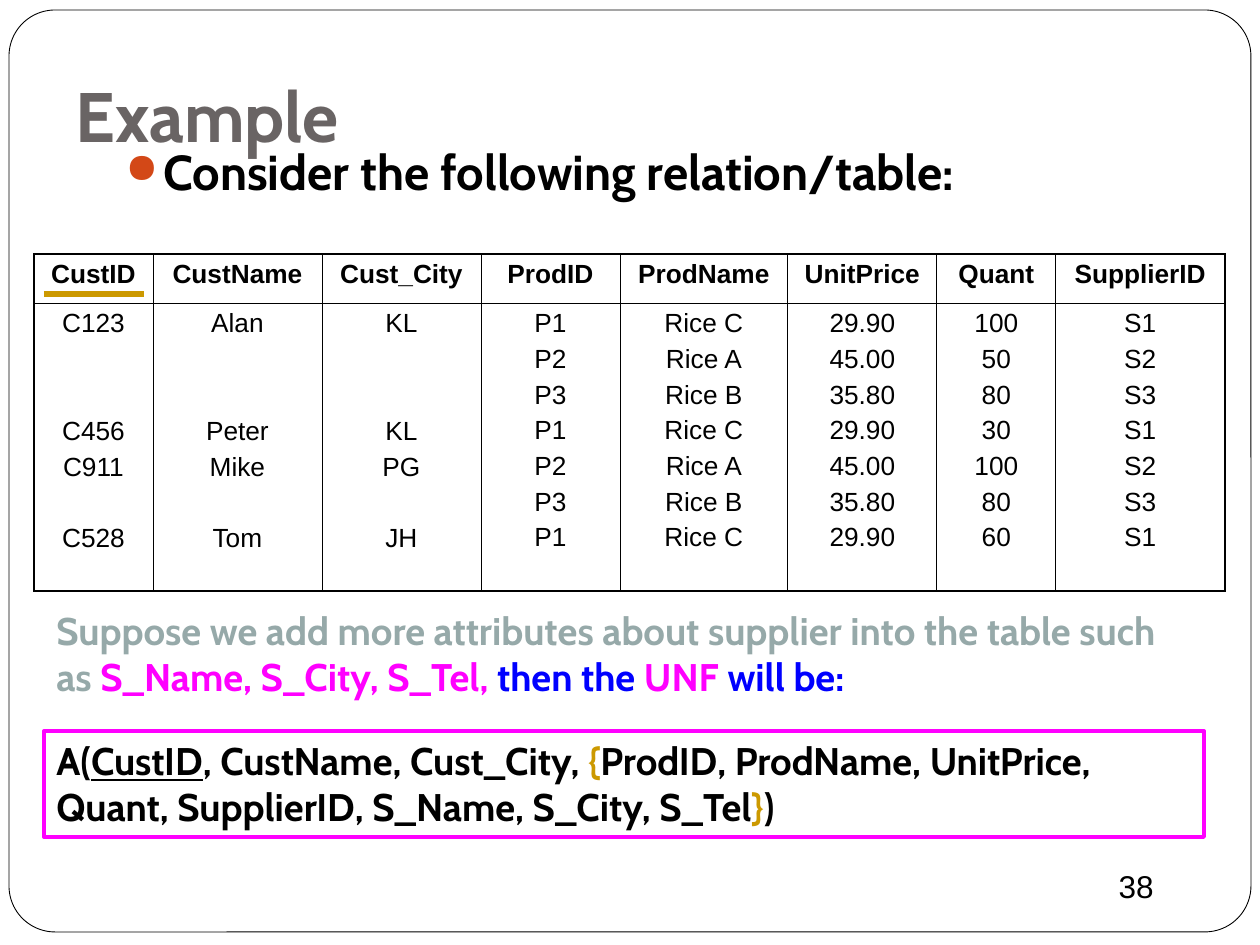
from lxml import etree
from pptx import Presentation
from pptx.dml.color import RGBColor
from pptx.enum.shapes import MSO_CONNECTOR, MSO_SHAPE
from pptx.enum.text import MSO_ANCHOR, PP_ALIGN
from pptx.oxml.ns import qn
from pptx.util import Pt

EMU_PER_PX = 914400 / 126
LEFT, CENTER, RIGHT = PP_ALIGN.LEFT, PP_ALIGN.CENTER, PP_ALIGN.RIGHT
TOP, BOTTOM = MSO_ANCHOR.TOP, MSO_ANCHOR.BOTTOM
RECTANGLE, ROUNDED = MSO_SHAPE.RECTANGLE, MSO_SHAPE.ROUNDED_RECTANGLE
STRAIGHT = MSO_CONNECTOR.STRAIGHT

COLORS = {
    "white": "FFFFFF", "black": "000000", "title": "696464", "bullet": "D34817",
    "sage": "96A9A9", "magenta": "FF00FF", "blue": "0000FF", "gold": "CC9900",
}
HEADING_FONT, TABLE_FONT = "Cabin", "Arial"
THIN, THICK = 0.45, 1.08
ROW_GAP, ROW_PITCH = 3.7, 20.5

COLUMNS = [
    ("CustID", 119, ["C123", "", "", "C456", "C911", "", "C528"]),
    ("CustName", 169, ["Alan", "", "", "Peter", "Mike", "", "Tom"]),
    ("Cust_City", 159, ["KL", "", "", "KL", "PG", "", "JH"]),
    ("ProdID", 139, ["P1", "P2", "P3", "P1", "P2", "P3", "P1"]),
    ("ProdName", 168, ["Rice C", "Rice A", "Rice B", "Rice C", "Rice A", "Rice B", "Rice C"]),
    ("UnitPrice", 149, ["29.90", "45.00", "35.80", "29.90", "45.00", "35.80", "29.90"]),
    ("Quant", 119, ["100", "50", "80", "30", "100", "80", "60"]),
    ("SupplierID", 169, ["S1", "S2", "S3", "S1", "S2", "S3", "S1"]),
]
ROW_HEIGHTS = [49, 288]


def px(*lengths):
    return [round(length * EMU_PER_PX) for length in lengths]


def rgb(color):
    return RGBColor.from_string(COLORS[color])


def add_xml(parent, tag, **attributes):
    return etree.SubElement(parent, qn(tag), attributes)


class SlideBuilder:
    def __init__(self, slide):
        self.slide = slide

    def style(self, paragraph, size, color, font=HEADING_FONT, bold=True, align=LEFT):
        paragraph.alignment = align
        paragraph.font.size = Pt(size)
        paragraph.font.name = font
        paragraph.font.bold = bold
        paragraph.font.color.rgb = rgb(color)

    def fill_runs(self, paragraph, runs):
        """Each run is (text, color) or (text, color, underlined)."""
        for text, color, *underlined in runs:
            run = paragraph.add_run()
            run.text = text
            run.font.color.rgb = rgb(color)
            if underlined:
                run.font.underline = True

    def text(self, box, runs, size, anchor=TOP, bullet=None, **style):
        shape = self.slide.shapes.add_textbox(*px(*box))
        frame = shape.text_frame
        frame.word_wrap = True
        frame.vertical_anchor = anchor
        paragraph = frame.paragraphs[0]
        if bullet:
            self.bullet(paragraph, bullet)
        self.style(paragraph, size, runs[0][1], **style)
        self.fill_runs(paragraph, runs)
        return shape

    def bullet(self, paragraph, color):
        properties = paragraph._p.get_or_add_pPr()
        indent = px(38)[0]
        properties.set("marL", str(indent))
        properties.set("indent", str(-indent))
        add_xml(add_xml(properties, "a:buClr"), "a:srgbClr", val=COLORS[color])
        add_xml(properties, "a:buSzPct", val="85000")
        add_xml(properties, "a:buChar", char="●")

    def outline(self, kind, box, color, width, fill=None):
        shape = self.slide.shapes.add_shape(kind, *px(*box))
        shape.shadow.inherit = False
        if fill:
            shape.fill.solid()
            shape.fill.fore_color.rgb = rgb(fill)
        else:
            shape.fill.background()
        shape.line.color.rgb = rgb(color)
        shape.line.width = Pt(width)
        return shape

    def boxed_text(self, box, runs, size, color, width):
        shape = self.outline(RECTANGLE, box, color, width)
        frame = shape.text_frame
        frame.word_wrap = True
        frame.vertical_anchor = TOP
        self.style(frame.paragraphs[0], size, "black")
        self.fill_runs(frame.paragraphs[0], runs)

    def line(self, start, end, color, width):
        connector = self.slide.shapes.add_connector(STRAIGHT, *px(*start, *end))
        connector.line.color.rgb = rgb(color)
        connector.line.width = Pt(width)
        add_xml(connector._element.spPr, "a:effectLst")

    def borders(self, cell, **widths):
        properties = cell._tc.get_or_add_tcPr()
        for side, width in widths.items():
            border = add_xml(properties, f"a:ln{side}", w=str(Pt(width)))
            add_xml(add_xml(border, "a:solidFill"), "a:srgbClr", val=COLORS["black"])

    def cell_lines(self, cell, lines, bold):
        """Write the lines, spacing over empty ones to keep rows level."""
        frame = cell.text_frame
        last = 0
        for index, text in enumerate(lines):
            if not text:
                continue
            paragraph = frame.add_paragraph() if index else frame.paragraphs[0]
            if index:
                paragraph.space_before = Pt(ROW_GAP + (index - last - 1) * ROW_PITCH)
            self.style(paragraph, 15, "black", TABLE_FONT, bold, CENTER)
            paragraph.add_run().text = text
            last = index

    def table(self, left, top, columns, row_heights):
        size = sum(width for _, width, _ in columns), sum(row_heights)
        frame = self.slide.shapes.add_table(len(row_heights), len(columns), *px(left, top, *size))
        table = frame.table
        table.first_row = table.horz_banding = False
        for row, height in zip(table.rows, px(*row_heights)):
            row.height = height
        final = len(columns) - 1
        for column, (heading, width, values) in enumerate(columns):
            table.columns[column].width = px(width)[0]
            for row, lines in enumerate(([heading], values)):
                cell = table.cell(row, column)
                self.borders(
                    cell,
                    L=THIN if column else THICK,
                    R=THICK if column == final else THIN,
                    T=THIN if row else THICK,
                    B=THICK if row else THIN,
                )
                cell.fill.background()
                self.cell_lines(cell, lines, bold=row == 0)


def main():
    presentation = Presentation()
    presentation.slide_width, presentation.slide_height = px(1260, 945)
    builder = SlideBuilder(presentation.slides.add_slide(presentation.slide_layouts[6]))

    frame = builder.outline(ROUNDED, (9, 10, 1242, 922), "black", 0.5, fill="white")
    frame.adjustments[0] = 0.05
    builder.text((1040, 861, 126, 50), [("38", "black")], 18,
                 font=TABLE_FONT, bold=False, align=RIGHT)
    builder.text((63, 63, 1134, 100), [("Example", "title")], 40, anchor=BOTTOM)
    builder.text((113, 135, 993, 86), [("Consider the following relation/table:", "black")],
                 28, bullet="bullet")
    builder.table(34, 254, COLUMNS, ROW_HEIGHTS)
    builder.text((44, 601, 1142, 106), [
        ("Suppose we add more attributes about supplier into the table such as ", "sage"),
        ("S_Name, S_City, S_Tel, ", "magenta"),
        ("then the ", "blue"),
        ("UNF", "magenta"),
        (" will be:", "blue"),
    ], 22)
    builder.line((44, 294), (144, 294), "gold", 3)
    builder.boxed_text((44, 731, 1160, 106), [
        ("A(", "black"),
        ("CustID", "black", True),
        (", CustName, Cust_City, ", "black"),
        ("{", "gold"),
        ("ProdID, ProdName, UnitPrice, Quant, SupplierID, S_Name, S_City, S_Tel", "black"),
        ("}", "gold"),
        (")", "black"),
    ], 22, "magenta", 2.25)

    presentation.save("out.pptx")


if __name__ == "__main__":
    main()
